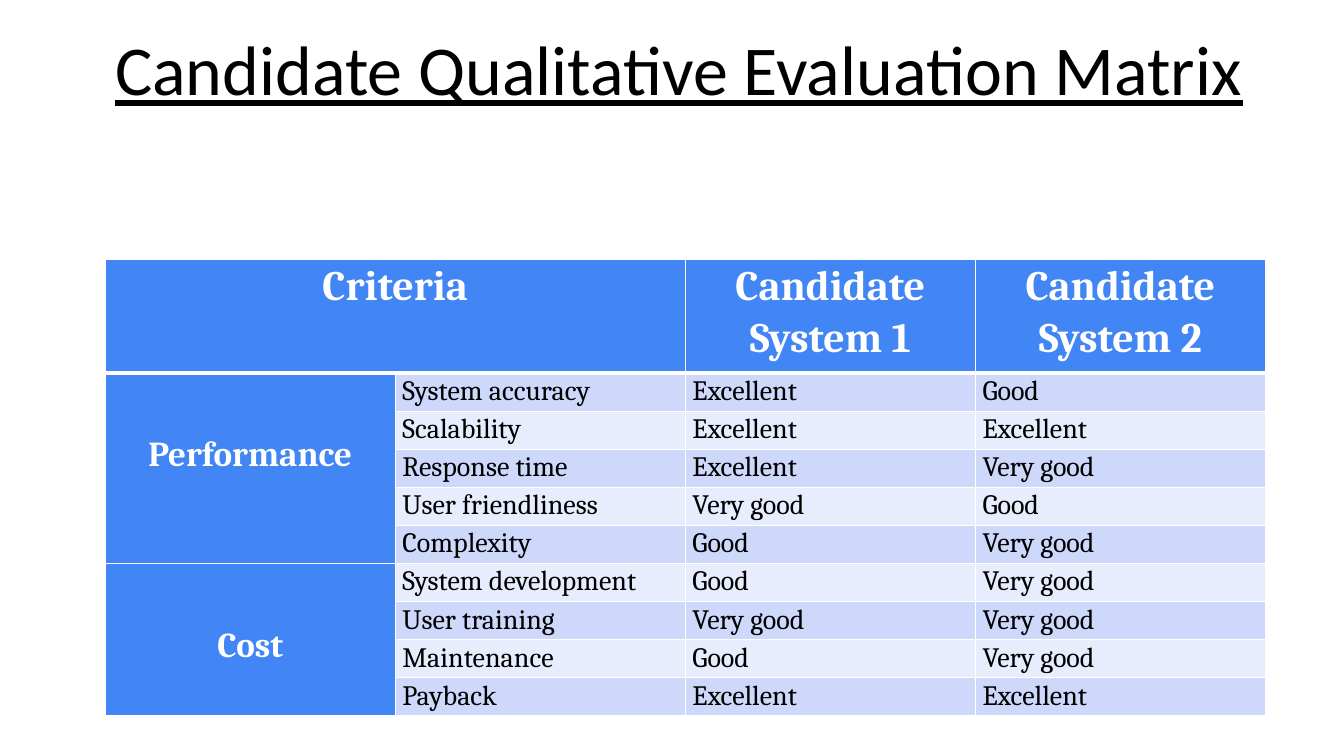
"""Build a slide with a qualitative evaluation matrix of two candidate systems."""
from lxml.etree import SubElement
from pptx import Presentation
from pptx.dml.color import RGBColor
from pptx.enum.text import PP_ALIGN as Align
from pptx.oxml import parse_xml
from pptx.oxml.ns import nsdecls
from pptx.util import Cm, Pt

BLUE, WHITE, BLACK = "4285F4", "FFFFFF", "000000"
BANDS = ["CDD8FB", "E8EDFD"]
HEADS = ["Criteria", "", "Candidate System 1", "Candidate System 2"]
GROUPS = {
    "Performance": [
        ["System accuracy", "Excellent", "Good"],
        ["Scalability", "Excellent", "Excellent"],
        ["Response time", "Excellent", "Very good"],
        ["User friendliness", "Very good", "Good"],
        ["Complexity", "Good", "Very good"],
    ],
    "Cost": [
        ["System development", "Good", "Very good"],
        ["User training", "Very good", "Very good"],
        ["Maintenance", "Good", "Very good"],
        ["Payback", "Excellent", "Excellent"],
    ],
}


def tint(color, code):
    color.rgb = RGBColor.from_string(code)


def style(cell, text, fill, size, ink, bold, align, row):
    cell.margin_left = cell.margin_right = Cm(0.18)
    cell.margin_top = cell.margin_bottom = 0
    props = cell._tc.get_or_add_tcPr()
    for side in "LRTB":
        thick = (row, side) in [(0, "B"), (1, "T")]
        line = parse_xml(f'<a:ln{side} {nsdecls("a")} w="{Pt(3 if thick else 1)}">'
                         f'<a:solidFill><a:srgbClr val="{WHITE}"/></a:solidFill></a:ln{side}>')
        props.append(line)
    cell.fill.solid()
    tint(cell.fill.fore_color, fill)
    cell.text_frame.text = text
    para = cell.text_frame.paragraphs[0]
    para.alignment = align
    para.line_spacing = 1.07
    for run in para.runs:
        run.font.name = "Cambria"
        run.font.size = Pt(size)
        run.font.bold = bold
        tint(run.font.color, ink)


deck = Presentation()
deck.slide_width, deck.slide_height = Cm(33.87), Cm(19.05)
slide = deck.slides.add_slide(deck.slide_layouts[6])

rows = [[name] + line for name, lines in GROUPS.items() for line in lines]
frame = slide.shapes.add_table(len(rows) + 1, 4, Cm(2.65), Cm(6.54), Cm(29.24), Cm(11.46))
grid = frame.table
for col in grid.columns:
    col.width = Cm(7.31)
for num, row in enumerate(grid.rows):
    row.height = Cm(0.96 if num else 2.86)

for col, head in enumerate(HEADS):
    style(grid.cell(0, col), head, BLUE, 30, WHITE, True, Align.CENTER, 0)
grid.cell(0, 0).merge(grid.cell(0, 1))

for num, (name, *marks) in enumerate(rows, 1):
    first = marks == GROUPS[name][0]
    style(grid.cell(num, 0), name if first else "", BLUE, 25, WHITE, True, Align.CENTER, num)
    for col, mark in enumerate(marks, 1):
        style(grid.cell(num, col), mark, BANDS[(num - 1) % 2], 20, BLACK, False, Align.JUSTIFY, num)

top = 1
for lines in GROUPS.values():
    label = grid.cell(top, 0)
    label.merge(grid.cell(top + len(lines) - 1, 0))
    label.margin_top = Cm(1.5)
    top += len(lines)

title = slide.shapes.add_textbox(Cm(2.65), Cm(0.53), Cm(29.21), Cm(5.38))
title.text_frame.word_wrap = True
title.text_frame.text = "Candidate Qualitative Evaluation Matrix"
font = title.text_frame.paragraphs[0].runs[0].font
font.name, font.size, font.underline = "Calibri", Pt(50), True
tint(font.color, BLACK)

deck.save("out.pptx")
